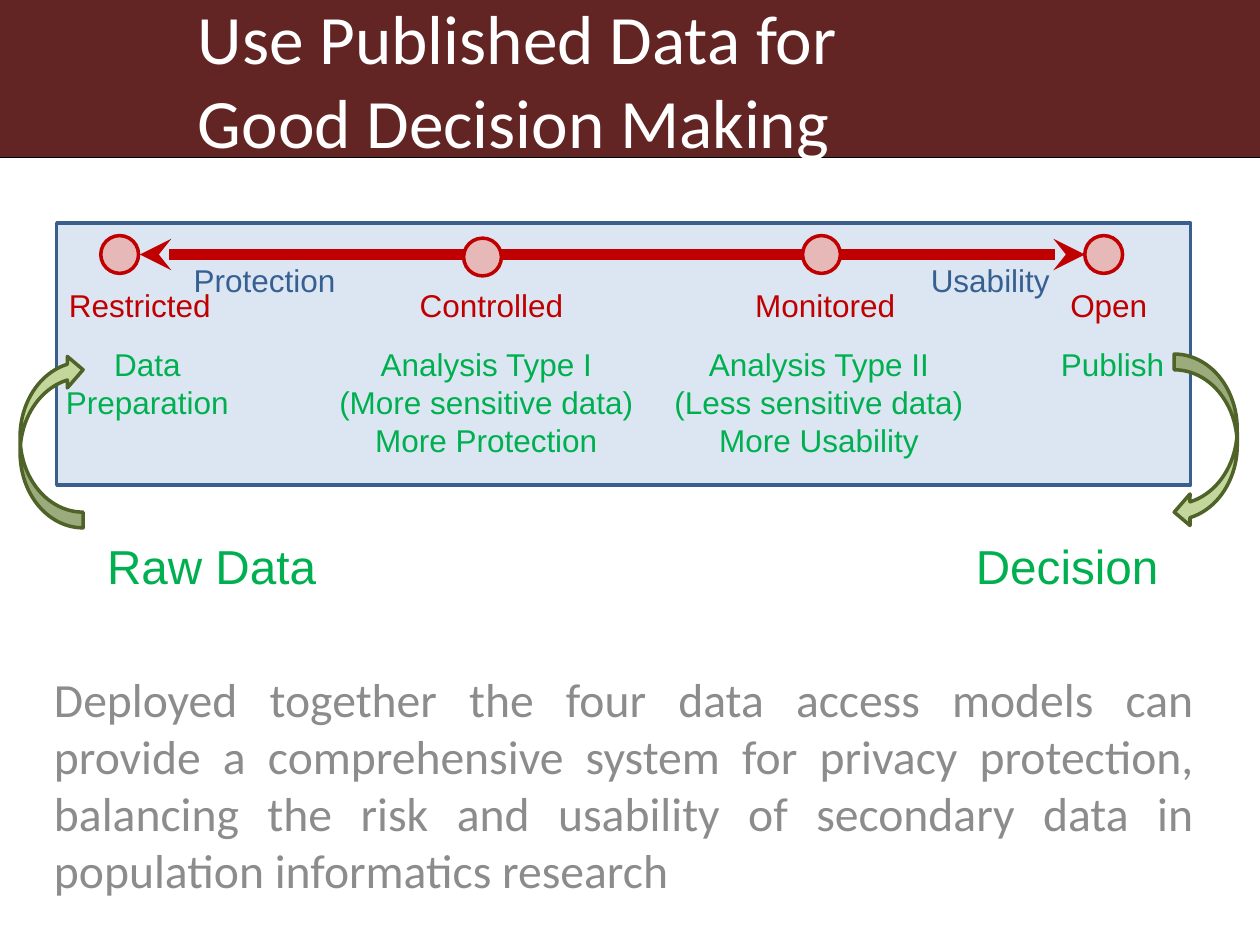
from dataclasses import dataclass
from lxml.etree import SubElement
from pptx import Presentation
from pptx.dml.color import RGBColor
from pptx.enum.shapes import MSO_CONNECTOR, MSO_SHAPE
from pptx.enum.text import MSO_ANCHOR, MSO_AUTO_SIZE, PP_ALIGN
from pptx.oxml.ns import qn
from pptx.util import Inches, Pt

COLS, ROWS = 100, 75
RED, GREEN, BLUE = "C00000", "00B050", "376092"

deck = Presentation()
deck.slide_width, deck.slide_height = Inches(10), Inches(7.5)
slide = deck.slides.add_slide(deck.slide_layouts[5])
shapes = slide.shapes


@dataclass
class Box:
    col: float
    row: float
    wide: float
    high: float

    def place(self) -> list[int]:
        x, y = deck.slide_width / COLS, deck.slide_height / ROWS
        return [round(n) for n in
                (self.col * x, self.row * y, self.wide * x, self.high * y)]


@dataclass
class Stage:
    name: str
    mid: float
    dot: Box
    notes: list[str]
    base: float


def tint(code: str) -> RGBColor:
    return RGBColor.from_string(code)


def style(target: object, values: dict) -> None:
    for key, value in values.items():
        setattr(target, key, value)


def draw(kind: MSO_SHAPE, box: Box, fill: str, line: str = "", flip: str = "") -> None:
    shape = shapes.add_shape(kind, *box.place())
    shape.shadow.inherit = False
    shape.fill.solid()
    shape.fill.fore_color.rgb = tint(fill)
    if line:
        shape.line.color.rgb = tint(line)
        shape.line.width = Pt(2)
    else:
        shape.line.fill.background()
    if flip:
        shape._element.spPr.find(qn("a:xfrm")).set(flip, "1")


def rule(col: float, row: float, wide: float, code: str, width: float,
         heads: bool = False) -> None:
    x, y, w, _ = Box(col, row, wide, 0).place()
    line = shapes.add_connector(MSO_CONNECTOR.STRAIGHT, x, y, x + w, y)
    line.line.color.rgb = tint(code)
    line.line.width = Pt(width)
    if heads:
        for end in ("a:headEnd", "a:tailEnd"):
            SubElement(line.line._get_or_add_ln(), qn(end), type="stealth")
    SubElement(line._element.spPr, qn("a:effectLst"))


def write(box: Box, lines: list[str], code: str, size: float = 18,
          lead: float = 21.7, face: str = "Arial",
          align: PP_ALIGN = PP_ALIGN.CENTER) -> None:
    frame = shapes.add_textbox(*box.place()).text_frame
    frame.word_wrap = True
    frame.text = "\n".join(lines)
    for para in frame.paragraphs:
        style(para, {"alignment": align, "line_spacing": Pt(lead)})
        style(para.font, {"name": face, "size": Pt(size)})
        para.font.color.rgb = tint(code)


draw(MSO_SHAPE.RECTANGLE, Box(0, 0, 100, 12.5), "632523")
rule(0, 12.5, 100, "000000", 0.75)

title = shapes.title
shapes._spTree.append(title._element)
style(title, dict(zip(("left", "top", "width", "height"),
                      Box(14.7, 0, 85, 12.5).place())))
title.text_frame.text = "Use Published Data for\vGood Decision Making"
style(title.text_frame, {"auto_size": MSO_AUTO_SIZE.NONE,
                         "vertical_anchor": MSO_ANCHOR.MIDDLE, "word_wrap": True})
head = title.text_frame.paragraphs[0]
head.alignment = PP_ALIGN.LEFT
style(head.font, {"name": "Calibri", "size": Pt(39.6)})
head.font.color.rgb = tint("FFFFFF")

draw(MSO_SHAPE.RECTANGLE, Box(4.5, 17.7, 90, 20.8), "DCE6F2", "3A5F8C")
rule(11.1, 20.2, 75, RED, 6, heads=True)

stages = [
    Stage("Restricted", 11.1, Box(8, 18.7, 3, 3), ["Data", "Preparation"], 11.7),
    Stage("Controlled", 39, Box(36.8, 18.9, 3, 3),
          ["Analysis Type I", "(More sensitive data)", "More Protection"], 38.6),
    Stage("Monitored", 65.5, Box(63.7, 18.7, 3, 3),
          ["Analysis Type II", "(Less sensitive data)", "More Usability"], 65),
    Stage("Open", 88, Box(86.1, 18.7, 3, 3), ["Publish"], 88.3),
]
for stage in stages:
    write(Box(stage.mid - 8, 22.2, 16, 4), [stage.name], RED)
    write(Box(stage.base - 14, 26.9, 28, 1 + 3 * len(stage.notes)), stage.notes, GREEN)
    draw(MSO_SHAPE.OVAL, stage.dot, "E6B9B8", RED)

for word, mid in (("Protection", 21), ("Usability", 78.6)):
    write(Box(mid - 8, 20.2, 16, 4), [word], BLUE)

for col, flip in ((1.6, "flipV"), (93.2, "flipH")):
    draw(MSO_SHAPE.CURVED_RIGHT_ARROW, Box(col, 28.1, 5, 13.8), "C3D69B", "4F6228", flip)

for word, mid in (("Raw Data", 16.8), ("Decision", 84.7)):
    write(Box(mid - 12, 42.1, 24, 5.5), [word], GREEN, 27.2, 32.6)

write(Box(3.3, 52.7, 92.5, 19.2),
      ["Deployed together the four data access models can provide a comprehensive "
       "system for privacy protection, balancing the risk and usability of secondary "
       "data in population informatics research"],
      "8C8C8C", 27.2, 32.6, "Calibri", PP_ALIGN.JUSTIFY)

deck.save("out.pptx")
